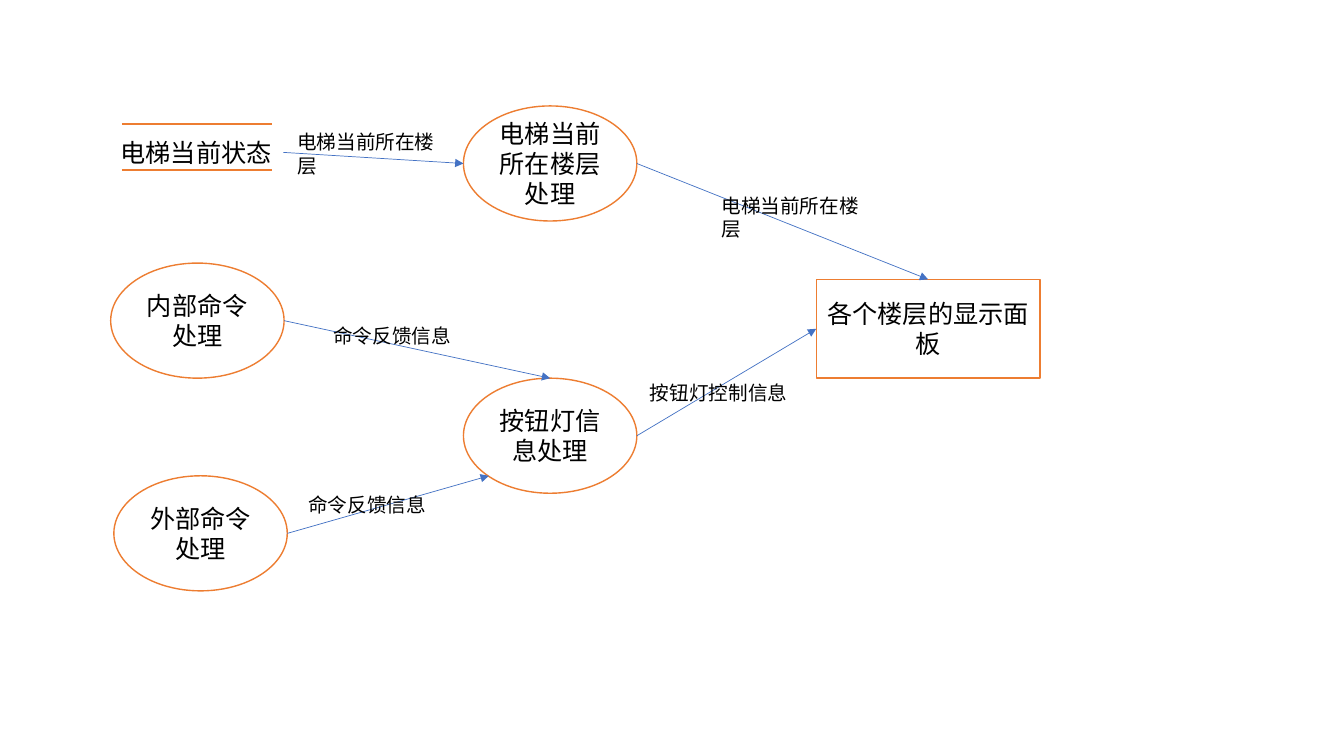
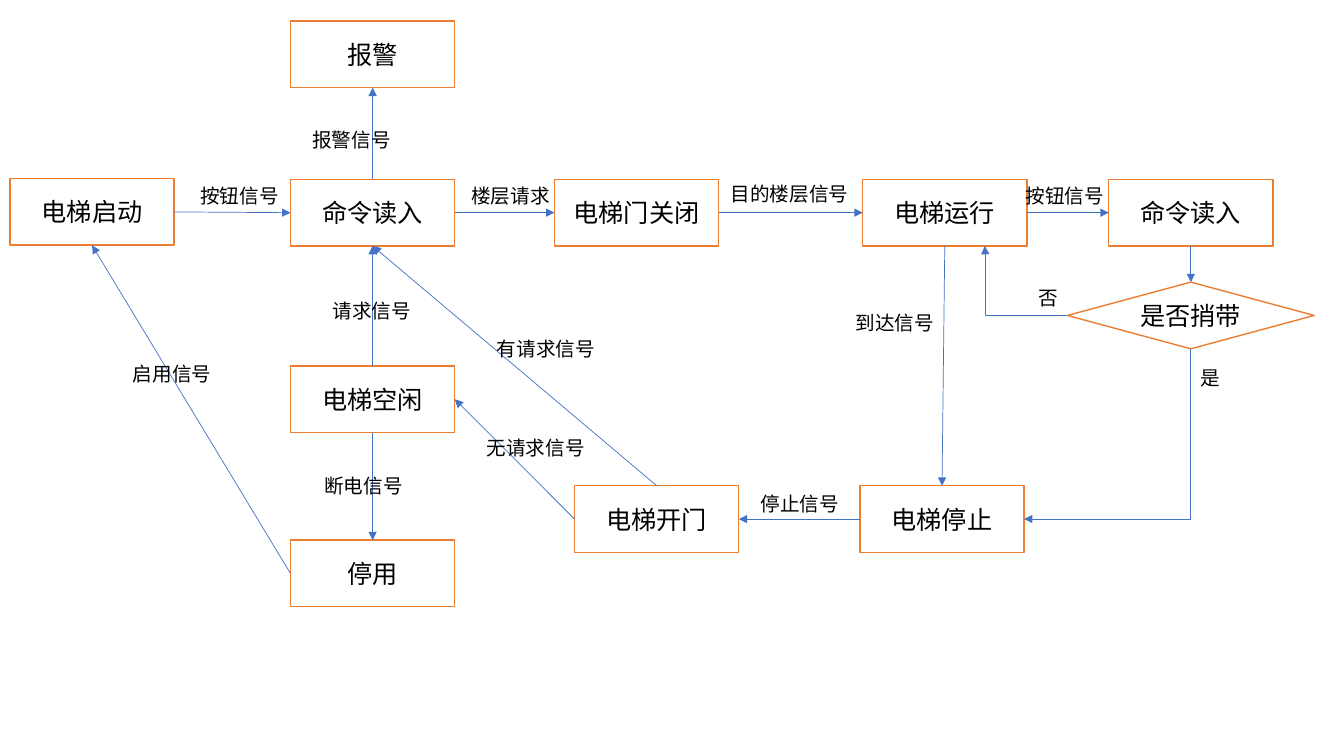
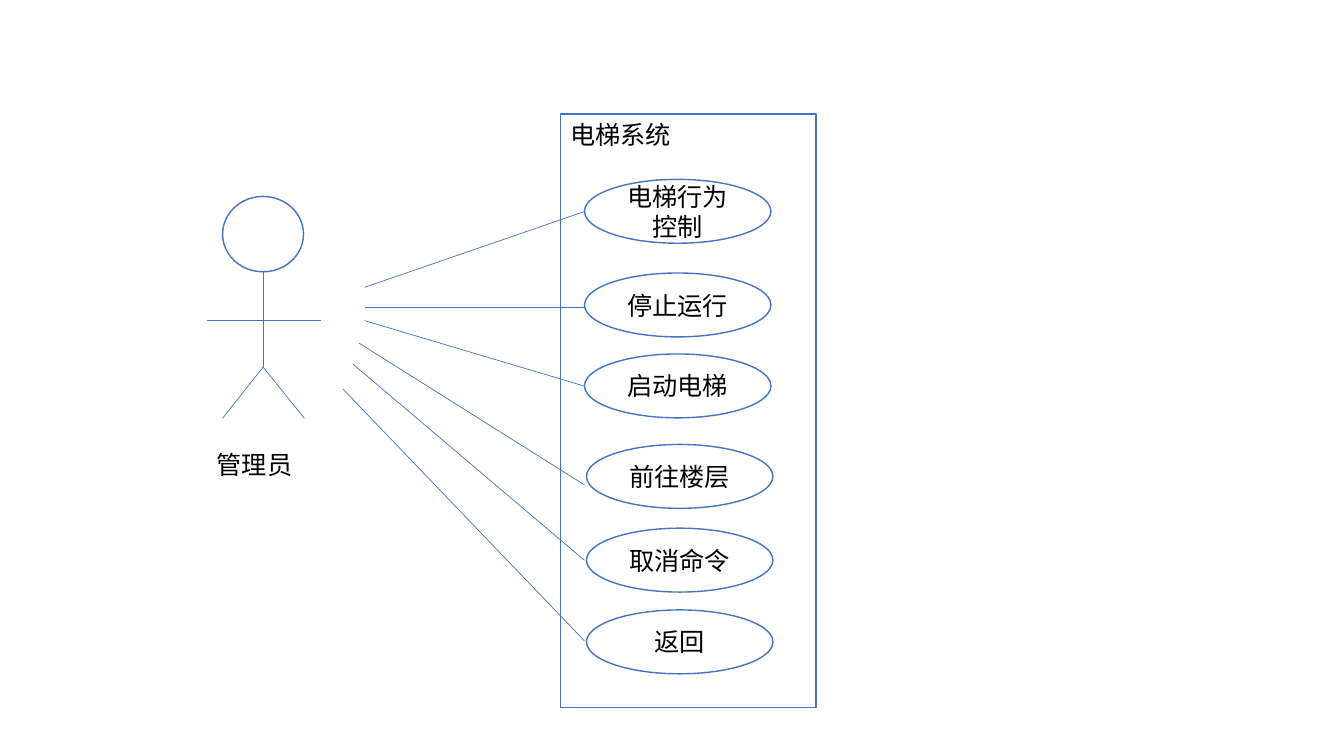
from lxml import etree
from pptx import Presentation
from pptx.dml.color import RGBColor
from pptx.enum.shapes import MSO_CONNECTOR, MSO_SHAPE
from pptx.enum.text import MSO_ANCHOR, MSO_AUTO_SIZE, PP_ALIGN
from pptx.oxml.ns import qn
from pptx.util import Cm, Pt

OVAL, RECT, DIAMOND = MSO_SHAPE.OVAL, MSO_SHAPE.RECTANGLE, MSO_SHAPE.DIAMOND
STRAIGHT, ELBOW = MSO_CONNECTOR.STRAIGHT, MSO_CONNECTOR.ELBOW
MIDDLE, UPPER = MSO_ANCHOR.MIDDLE, MSO_ANCHOR.TOP
CENTER, START = PP_ALIGN.CENTER, PP_ALIGN.LEFT
FIT = MSO_AUTO_SIZE.SHAPE_TO_FIT_TEXT
TOP, LEFT, BOTTOM, RIGHT = range(4)

COLORS = {"paper": "FFFFFF", "ink": "000000", "orange": "ED7D31", "blue": "4472C4"}
FONT = "Noto Sans CJK SC"
BIG, SMALL = 18, 14


def color(name):
    return RGBColor.from_string(COLORS[name])


def write(frame, text, size, align=START):
    para = frame.paragraphs[0]
    para.alignment = align
    run = para.add_run()
    run.text = text
    run.font.size = Pt(size)
    run.font.color.rgb = color("ink")
    run.font.name = FONT
    etree.SubElement(run.font._element, qn("a:ea"), typeface=FONT)


def node(home, kind, box, text="", edge="orange", anchor=MIDDLE, align=CENTER):
    """Add a white outlined shape; box is left, top, width, height in cm."""
    shape = home.add_shape(kind, *map(Cm, box))
    shape.shadow.inherit = False
    shape.fill.solid()
    shape.fill.fore_color.rgb = color("paper")
    shape.line.color.rgb = color(edge)
    shape.line.width = Pt(1)
    if text:
        frame = shape.text_frame
        frame.word_wrap = True
        frame.vertical_anchor = anchor
        write(frame, text, BIG, align)
    return shape


def label(home, x, y, text, size=SMALL):
    """Add a one-line text box as wide as its full-width letters."""
    wide = len(text) * size * 2.54 / 72 + 0.51
    high = 1.02 if size == BIG else 0.86
    frame = home.add_textbox(Cm(x), Cm(y), Cm(wide), Cm(high)).text_frame
    frame.word_wrap = False
    frame.auto_size = FIT
    write(frame, text, size)


def place(end):
    """Turn (x, y) in cm or (shape, side) into a point on the slide."""
    first, second = end
    if isinstance(first, (int, float)):
        return Cm(first), Cm(second)
    mid_x, mid_y = first.left + first.width // 2, first.top + first.height // 2
    return {
        TOP: (mid_x, first.top),
        LEFT: (first.left, mid_y),
        BOTTOM: (mid_x, first.top + first.height),
        RIGHT: (first.left + first.width, mid_y),
    }[second]


def joins(end):
    """Tell whether an end sits on a shape whose four sides are its sites."""
    return not isinstance(end[0], (int, float)) and end[0].auto_shape_type != OVAL


def link(home, begin, end, tip="tailEnd", kind=STRAIGHT, tone="blue", weight=0.5):
    line = home.add_connector(kind, *place(begin), *place(end))
    if joins(begin):
        line.begin_connect(*begin)
    if joins(end):
        line.end_connect(*end)
    line.line.color.rgb = color(tone)
    line.line.width = Pt(weight)
    if tip:
        etree.SubElement(line.line._get_or_add_ln(), qn("a:" + tip), type="triangle")
    etree.SubElement(line._element.spPr, qn("a:effectLst"))
    return line


def bend(line, preset, turn=None):
    """Choose the elbow's form and, if given, where it turns."""
    shape = line._element.spPr.find(qn("a:prstGeom"))
    shape.set("prst", preset)
    if turn is not None:
        guides = shape.find(qn("a:avLst"))
        etree.SubElement(guides, qn("a:gd"), name="adj1", fmla=f"val {turn}")


def draw_flow(home):
    for y in (3.12, 4.29):
        link(home, (3.07, y), (6.86, y), tip=None, tone="orange", weight=1.5)
    label(home, 2.79, 3.33, "电梯当前状态", BIG)

    floor, lamp, inner, outer = [
        node(home, OVAL, (x, y, 4.37, 2.9), text)
        for x, y, text in (
            (11.68, 2.67, "电梯当前所在楼层处理"),
            (11.68, 9.53, "按钮灯信息处理"),
            (2.79, 6.63, "内部命令处理"),
            (2.87, 11.99, "外部命令处理"),
        )
    ]
    panel = node(home, RECT, (20.57, 7.04, 5.64, 2.49), "各个楼层的显示面板")

    for begin, end in (
        ((7.14, 3.84), (floor, LEFT)),
        ((inner, RIGHT), (lamp, TOP)),
        ((outer, RIGHT), (12.32, 11.99)),
        ((lamp, RIGHT), (panel, LEFT)),
        ((floor, RIGHT), (panel, TOP)),
    ):
        link(home, begin, end)

    for x, y, text in (
        (7.24, 3.15, "电梯当前所在楼层"),
        (8.15, 8.05, "命令反馈信息"),
        (7.52, 12.29, "命令反馈信息"),
        (16.13, 9.47, "按钮灯控制信息"),
        (17.93, 4.75, "电梯当前所在楼层"),
    ):
        label(home, x, y, text)


def draw_states(home):
    start, read, close, run, idle, door, stop, off, alarm, again = [
        node(home, RECT, (x, y, 4.14, 1.68), text)
        for x, y, text in (
            (0.25, 4.5, "电梯启动"),
            (7.32, 4.52, "命令读入"),
            (13.97, 4.52, "电梯门关闭"),
            (21.74, 4.52, "电梯运行"),
            (7.32, 9.22, "电梯空闲"),
            (14.48, 12.24, "电梯开门"),
            (21.67, 12.24, "电梯停止"),
            (7.32, 13.61, "停用"),
            (7.32, 0.53, "报警"),
            (27.94, 4.52, "命令读入"),
        )
    ]
    choice = node(home, DIAMOND, (26.9, 7.11, 6.22, 1.68), "是否捎带")

    for source, side, target, other in (
        (start, RIGHT, read, LEFT),
        (read, RIGHT, close, LEFT),
        (close, RIGHT, run, LEFT),
        (idle, TOP, read, BOTTOM),
        (read, TOP, alarm, BOTTOM),
        (off, LEFT, start, BOTTOM),
        (idle, BOTTOM, off, TOP),
        (door, LEFT, idle, RIGHT),
        (stop, LEFT, door, RIGHT),
        (run, RIGHT, again, LEFT),
        (again, BOTTOM, choice, TOP),
        (door, TOP, read, BOTTOM),
        (run, BOTTOM, stop, TOP),
    ):
        link(home, (source, side), (target, other))
    bend(link(home, (choice, LEFT), (24.82, 6.2), kind=ELBOW), "bentConnector3", 99500)
    bend(link(home, (stop, RIGHT), (choice, BOTTOM), "headEnd", ELBOW), "bentConnector2")

    for x, y, text in (
        (4.8, 4.52, "按钮信号"),
        (11.63, 4.52, "楼层请求"),
        (7.62, 3.1, "报警信号"),
        (8.13, 7.42, "请求信号"),
        (7.92, 11.81, "断电信号"),
        (12.01, 10.85, "无请求信号"),
        (18.92, 12.27, "停止信号"),
        (12.27, 8.36, "有请求信号"),
        (3.1, 8.99, "启用信号"),
        (25.6, 4.5, "按钮信号"),
        (25.93, 7.09, "否"),
        (21.31, 7.7, "到达信号"),
        (30, 9.09, "是"),
        (18.16, 4.45, "目的楼层信号"),
    ):
        label(home, x, y, text)


def draw_actor(home):
    body = home.add_group_shape().shapes
    node(body, OVAL, (5.61, 4.95, 2.04, 1.9), edge="blue")
    for begin, end in (
        ((5.21, 8.08), (8.08, 8.08)),
        ((6.63, 6.86), (6.63, 9.25)),
        ((6.63, 9.25), (5.61, 10.54)),
        ((6.63, 9.25), (7.67, 10.54)),
    ):
        link(body, begin, end, tip=None)
    label(home, 5.21, 11.2, "管理员", BIG)


def draw_cases(home):
    draw_actor(home)
    node(home, RECT, (14.12, 2.87, 6.45, 14.96), "电梯系统", "blue", UPPER, START)
    for x, y, text, begin, end_y in (
        (14.73, 4.52, "电梯行为控制", (9.19, 7.24), 5.33),
        (14.73, 6.88, "停止运行", (9.19, 7.75), 7.75),
        (14.73, 8.92, "启动电梯", (9.19, 8.08), 9.73),
        (14.78, 11.2, "前往楼层", (9.04, 8.64), 12.22),
        (14.78, 13.31, "取消命令", (8.89, 9.17), 14.12),
        (14.78, 15.37, "返回", (8.64, 9.8), 16.15),
    ):
        node(home, OVAL, (x, y, 4.7, 1.61), text, "blue")
        link(home, begin, (14.73, end_y), tip=None)


def main():
    deck = Presentation()
    deck.slide_width, deck.slide_height = Cm(33.87), Cm(19.05)
    for draw in (draw_flow, draw_states, draw_cases):
        draw(deck.slides.add_slide(deck.slide_layouts[6]).shapes)
    deck.save("out.pptx")


if __name__ == "__main__":
    main()
